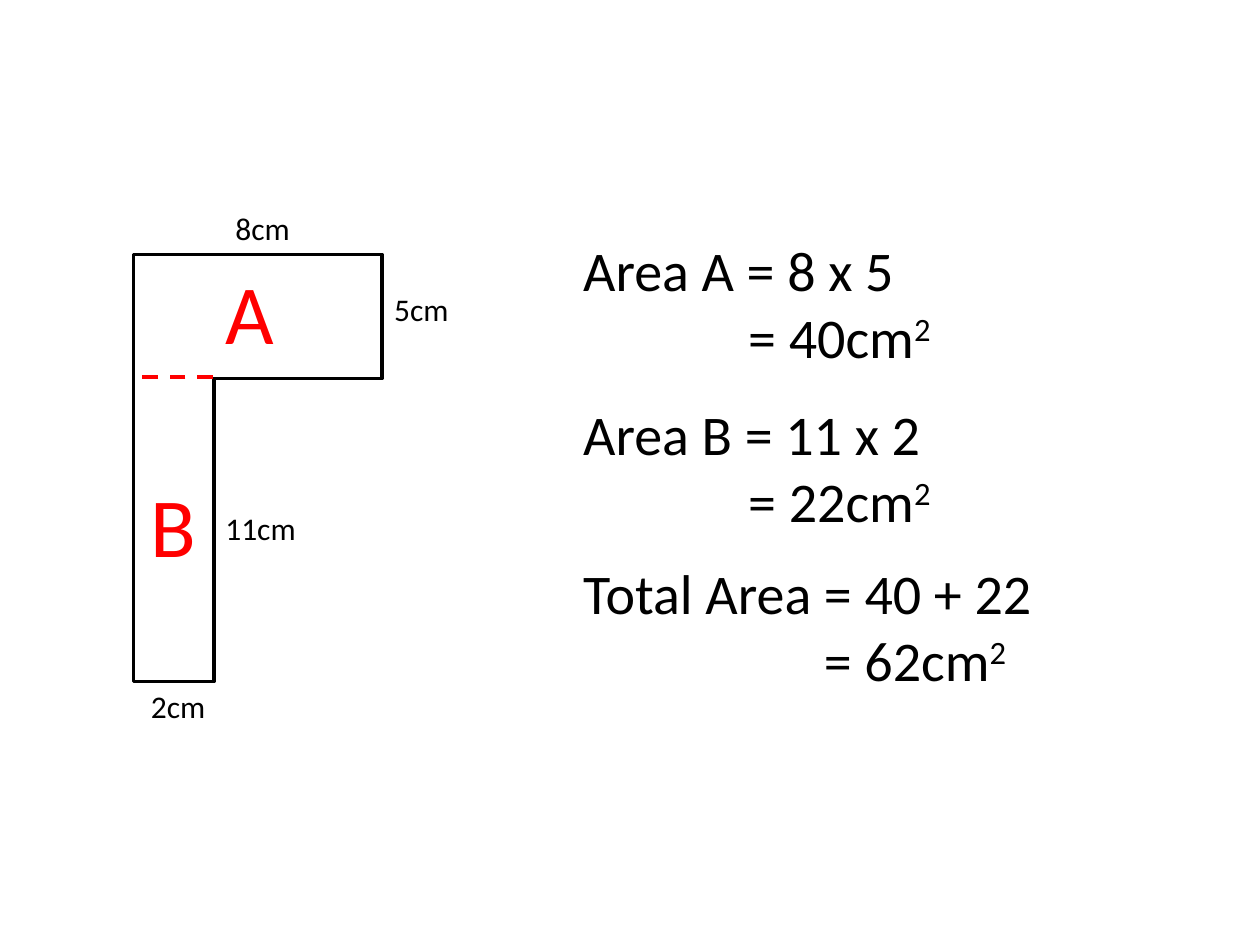
from lxml import etree
from pptx import Presentation
from pptx.dml.color import RGBColor
from pptx.enum import dml, shapes, text
from pptx.oxml.ns import qn
from pptx.util import Inches, Pt

BLACK, RED, WHITE = "000000", "FF0000", "FFFFFF"


def color(value):
    return RGBColor.from_string(value)


def add_text(left, top, width, height, lines, size, ink=BLACK):
    """Add a text box with one paragraph per line and return its paragraphs."""
    box = page.shapes.add_textbox(
        Inches(left), Inches(top), Inches(width), Inches(height))
    frame = box.text_frame
    frame.word_wrap = True
    frame.auto_size = text.MSO_AUTO_SIZE.SHAPE_TO_FIT_TEXT
    frame.text = "\n".join(lines)
    for para in frame.paragraphs:
        for span in para.runs:
            span.font.name = "Calibri"
            span.font.size = Pt(size)
            span.font.color.rgb = color(ink)
    return frame.paragraphs


deck = Presentation()
deck.slide_width, deck.slide_height = Inches(10), Inches(7.5)
page = deck.slides.add_slide(deck.slide_layouts[6])

# L-shape, turned so that its wide arm is on top; the "corner" preset
# has no member in MSO_SHAPE, so its geometry is set in the XML
outline = page.shapes.add_shape(
    shapes.MSO_SHAPE.RECTANGLE,
    Inches(0.35), Inches(2.73), Inches(3.39), Inches(1.97))
geometry = outline._element.spPr.find(qn("a:prstGeom"))
geometry.set("prst", "corner")
guides = geometry.find(qn("a:avLst"))
for guide, value in [("adj1", 32300), ("adj2", 50000)]:
    etree.SubElement(guides, qn("a:gd"), name=guide, fmla=f"val {value}")
outline.rotation = 90
outline.shadow.inherit = False
outline.fill.solid()
outline.fill.fore_color.rgb = color(WHITE)
outline.line.color.rgb = color(BLACK)
outline.line.width = Pt(2)

# Side lengths
for label, left, top in [("5cm", 3.03, 2.25), ("11cm", 1.69, 3.99),
                         ("8cm", 1.77, 1.61), ("2cm", 1.1, 5.4)]:
    add_text(left, top, 1.1, 0.4, [label], 18)

# Dashed split between the two rectangles
split = page.shapes.add_connector(
    shapes.MSO_CONNECTOR.STRAIGHT,
    Inches(1.69), Inches(2.99), Inches(1.06), Inches(2.99))
split.line.color.rgb = color(RED)
split.line.width = Pt(2.25)
split.line.dash_style = dml.MSO_LINE.DASH
etree.SubElement(split._element.spPr, qn("a:effectLst"))

# Rectangle names
for name, left, top in [("A", 1.69, 2.02), ("B", 1.1, 3.71)]:
    add_text(left, top, 0.87, 0.91, [name], 48, RED)

# Workings: the second line is indented to align the equals signs
workings = [
    ("Area A = 8 x 5", "= 40cm", 1.82, 3.62, 1.31),
    ("Area B = 11 x 2", "= 22cm", 3.12, 3.62, 1.31),
    ("Total Area = 40 + 22", "= 62cm", 4.38, 4.09, 1.91),
]
for sum_line, result, top, width, indent in workings:
    para = add_text(4.53, top, width, 1.18, [sum_line, result], 32)[1]
    para._p.get_or_add_pPr().set("marL", str(Inches(indent)))
    square = para.add_run()
    square.text = "2"
    square.font.name = "Calibri"
    square.font.size = Pt(32)
    square.font.color.rgb = color(BLACK)
    square.font._element.set("baseline", "30000")

deck.save("out.pptx")
